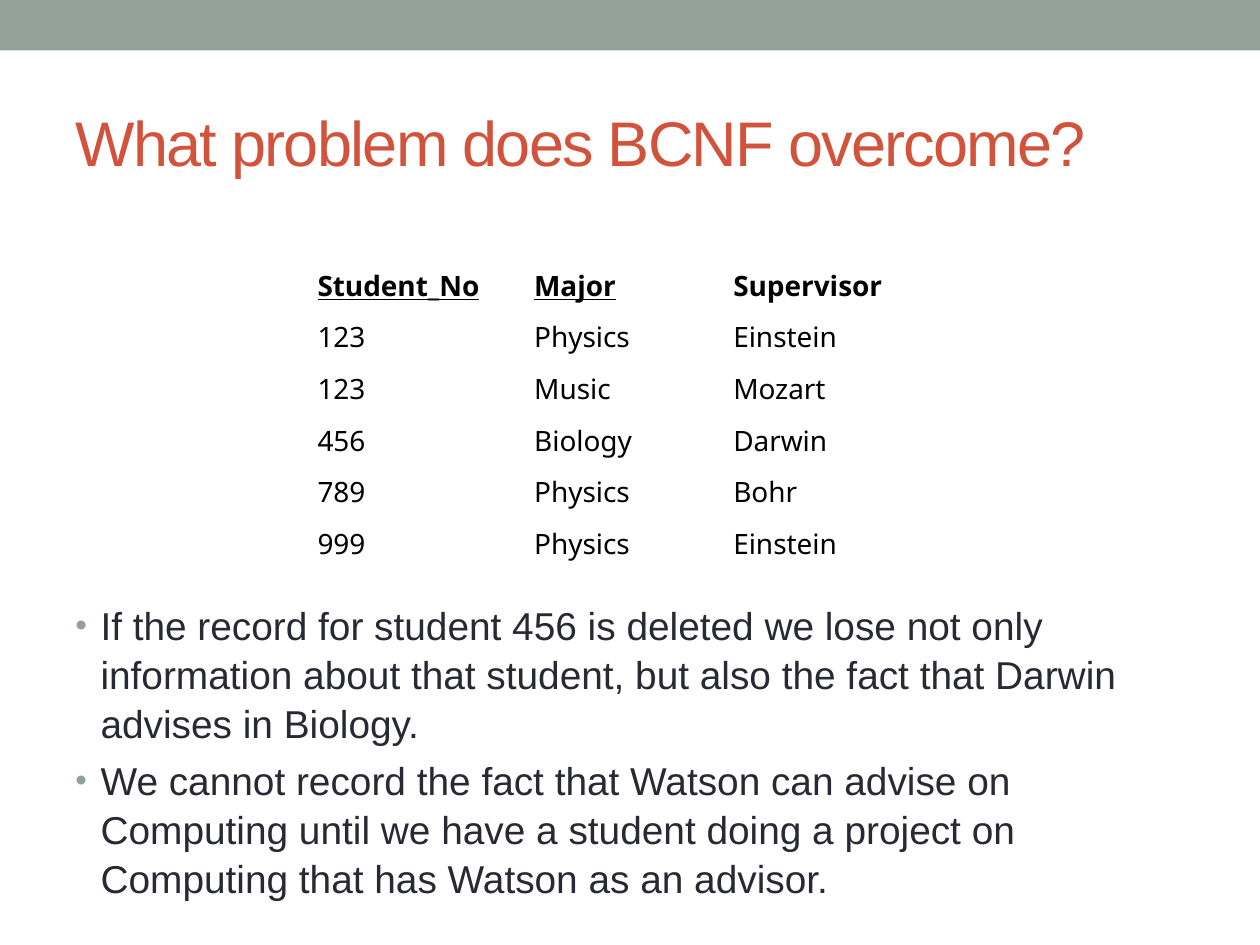
from dataclasses import dataclass

from lxml import etree
from pptx import Presentation
from pptx.dml.color import RGBColor
from pptx.enum.shapes import MSO_SHAPE
from pptx.enum.text import MSO_ANCHOR, MSO_AUTO_SIZE, PP_ALIGN
from pptx.oxml.ns import qn
from pptx.util import Inches, Pt

RECTANGLE = MSO_SHAPE.RECTANGLE
MIDDLE, TOP = MSO_ANCHOR.MIDDLE, MSO_ANCHOR.TOP
LEFT = PP_ALIGN.LEFT
NO_AUTOFIT = MSO_AUTO_SIZE.NONE
TITLE_ONLY = 5
WIDTH, HEIGHT = Inches(10), Inches(7.5)
MARGIN, CONTENT = 0.05, 0.9  # shares of the slide width


@dataclass(frozen=True)
class Theme:
    """Colours, fonts and type sizes of the slide."""
    band: str = "93A299"
    title: str = "D2533C"
    body: str = "292934"
    table: str = "000000"
    text_font: str = "Arial"
    table_font: str = "Noto Sans"
    title_size: float = 36
    body_size: float = 22.2
    table_size: float = 16


def set_attributes(target, values):
    """Set each attribute of target from a dict of values."""
    for name, value in values.items():
        setattr(target, name, value)


class SlideBuilder:
    """Holds the theme and the current slide, and adds elements to it."""

    def __init__(self, presentation, theme):
        """Start a title-only slide."""
        self.theme = theme
        self.slide = presentation.slides.add_slide(
            presentation.slide_layouts[TITLE_ONLY])

    def box(self, left, top, width, height):
        """Turn shares of the slide into left, top, width and height."""
        return (int(left * WIDTH), int(top * HEIGHT),
                int(width * WIDTH), int(height * HEIGHT))

    def add_text(self, paragraph, text, font, size, color, **style):
        """Add one formatted run to a left-aligned paragraph."""
        paragraph.alignment = LEFT
        run = paragraph.add_run()
        run.text = text
        set_attributes(run.font, {"name": font, "size": Pt(size), **style})
        run.font.color.rgb = RGBColor.from_string(color)
        return run

    def band(self, height):
        """Add the coloured band along the top edge."""
        shape = self.slide.shapes.add_shape(
            RECTANGLE, *self.box(0, 0, 1, height))
        shape.shadow.inherit = False
        shape.fill.solid()
        shape.fill.fore_color.rgb = RGBColor.from_string(self.theme.band)
        shape.line.fill.background()

    def title(self, text, top, height):
        """Move and fill the title placeholder."""
        shape = self.slide.shapes.title
        places = self.box(MARGIN, top, CONTENT, height)
        set_attributes(shape, dict(zip(("left", "top", "width", "height"), places)))
        set_attributes(shape.text_frame, {
            "vertical_anchor": MIDDLE, "word_wrap": True, "auto_size": NO_AUTOFIT})
        run = self.add_text(shape.text_frame.paragraphs[0], text,
                            self.theme.text_font, self.theme.title_size,
                            self.theme.title)
        run._r.get_or_add_rPr().set("spc", "-100")

    def bullet(self, paragraph):
        """Give a paragraph a hanging, coloured bullet."""
        properties = paragraph._p.get_or_add_pPr()
        indent = Inches(0.2)
        properties.set("marL", str(indent))
        properties.set("indent", str(-indent))
        color = etree.SubElement(properties, qn("a:buClr"))
        etree.SubElement(color, qn("a:srgbClr"), val=self.theme.band)
        etree.SubElement(properties, qn("a:buSzPct"), val="85000")
        etree.SubElement(properties, qn("a:buFont"), typeface="Arial")
        etree.SubElement(properties, qn("a:buChar"), char="•")

    def bullets(self, texts, top, height):
        """Add a text box with one bullet per text."""
        shape = self.slide.shapes.add_textbox(
            *self.box(MARGIN, top, CONTENT, height))
        frame = shape.text_frame
        set_attributes(frame, {
            "word_wrap": True, "auto_size": NO_AUTOFIT, "vertical_anchor": TOP})
        for index, text in enumerate(texts):
            paragraph = frame.add_paragraph() if index else frame.paragraphs[0]
            set_attributes(paragraph, {"space_before": Pt(4.4), "line_spacing": 1.05})
            self.bullet(paragraph)
            self.add_text(paragraph, text, self.theme.text_font,
                          self.theme.body_size, self.theme.body)

    def table(self, rows, keys, left, top, column_shares, row_share):
        """Add a plain table with a bold header and underlined key columns."""
        graphic = self.slide.shapes.add_table(
            len(rows), len(column_shares),
            *self.box(left, top, sum(column_shares), row_share * len(rows)))
        table = graphic.table
        set_attributes(table, {"first_row": False, "horz_banding": False})
        for column, share in zip(table.columns, column_shares):
            column.width = int(share * WIDTH)
        for row_index, values in enumerate(rows):
            table.rows[row_index].height = int(row_share * HEIGHT)
            header = row_index == 0
            for column_index, text in enumerate(values):
                cell = table.cell(row_index, column_index)
                cell.fill.background()
                set_attributes(cell, {
                    "margin_left": Inches(0.1), "margin_right": Inches(0.1),
                    "margin_top": Inches(0.06), "margin_bottom": Inches(0.05)})
                paragraph = cell.text_frame.paragraphs[0]
                paragraph.line_spacing = 0.96
                self.add_text(paragraph, text, self.theme.table_font,
                              self.theme.table_size, self.theme.table, bold=header,
                              underline=header and text in keys)


def main():
    """Build and save the slide."""
    presentation = Presentation()
    set_attributes(presentation, {"slide_width": WIDTH, "slide_height": HEIGHT})
    builder = SlideBuilder(presentation, Theme())
    builder.band(0.4 / 7.5)
    builder.title("What problem does BCNF overcome?", 0.58 / 7.5, 1.08 / 7.5)
    builder.bullets([
        "If the record for student 456 is deleted we lose not only information "
        "about that student, but also the fact that Darwin advises in Biology.",
        "We cannot record the fact that Watson can advise on Computing until we "
        "have a student doing a project on Computing that has Watson as an advisor.",
    ], 4.71 / 7.5, 2.37 / 7.5)
    builder.table([
        ("Student_No", "Major", "Supervisor"),
        ("123", "Physics", "Einstein"),
        ("123", "Music", "Mozart"),
        ("456", "Biology", "Darwin"),
        ("789", "Physics", "Bohr"),
        ("999", "Physics", "Einstein"),
    ], ("Student_No", "Major"), 0.242, 2.06 / 7.5, (0.172, 0.158, 0.185), 0.41 / 7.5)
    presentation.save("out.pptx")


main()
